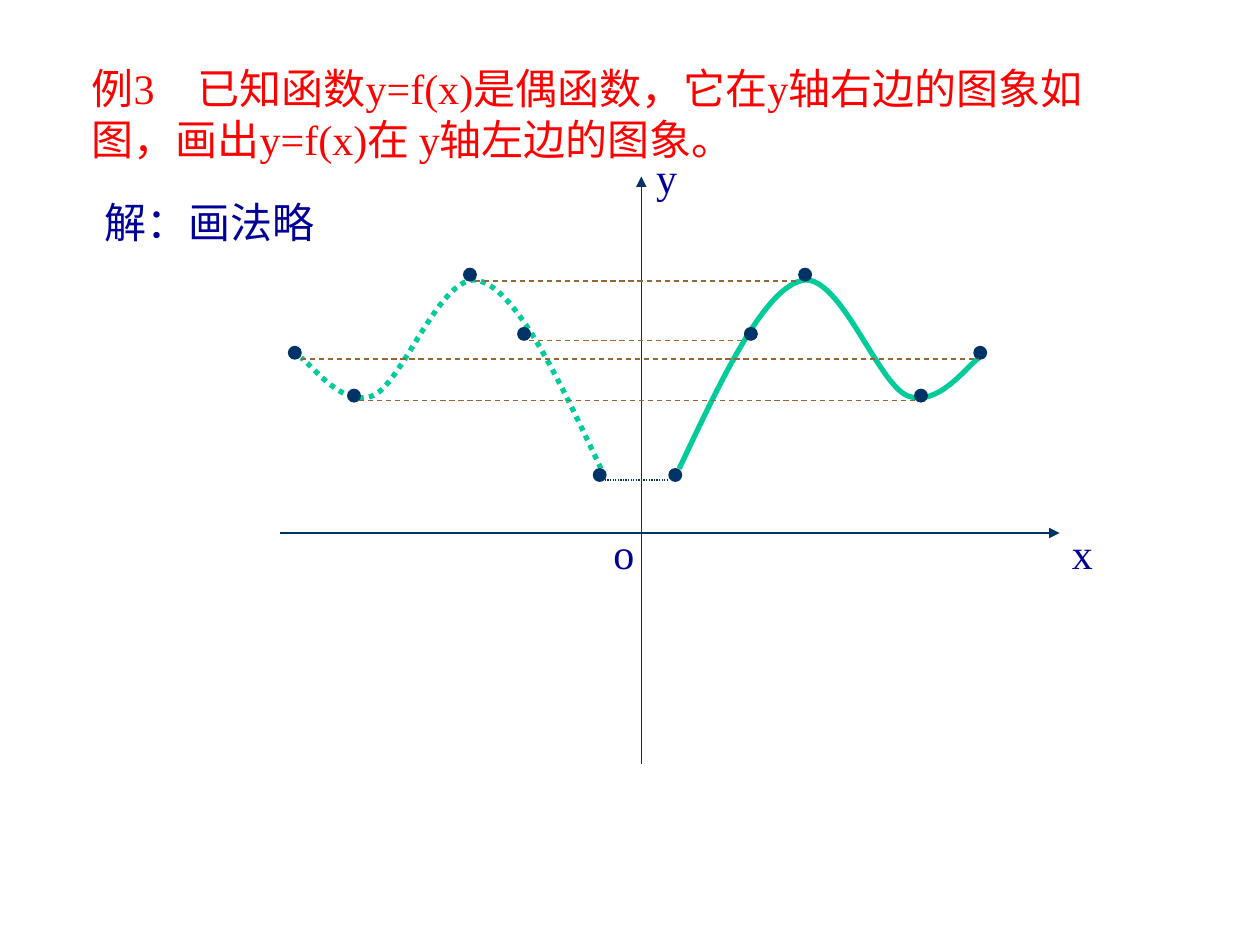
from lxml import etree
from pptx import Presentation
from pptx.dml.color import RGBColor
from pptx.enum.dml import MSO_LINE
from pptx.enum.shapes import MSO_CONNECTOR, MSO_SHAPE
from pptx.oxml.ns import qn
from pptx.util import Inches, Pt

DOTTED, DASHED = MSO_LINE.ROUND_DOT, MSO_LINE.DASH
STRAIGHT, OVAL = MSO_CONNECTOR.STRAIGHT, MSO_SHAPE.OVAL
COLORS = {
    "axis": "003366",
    "curve": "00CC99",
    "guide": "996633",
    "question": "FF0000",
    "answer": "000099",
}
DOT_SIZE = 0.1
CURVE_MIRROR = 10.16
DOT_MIRROR = 10.02


def style_line(line, color, width, dash=None):
    line.color.rgb = RGBColor.from_string(COLORS[color])
    for name, value in {"width": Pt(width), "dash_style": dash}.items():
        setattr(line, name, value)


deck = Presentation()
deck.slide_width, deck.slide_height = Inches(10), Inches(7.5)
page = deck.slides.add_slide(deck.slide_layouts[6])

curve_points = [
    (5.39, 3.72),
    (5.72, 3.02), (6.05, 2.32), (6.35, 2.23),
    (6.65, 2.13), (6.96, 3.04), (7.2, 3.14),
    (7.44, 3.24), (7.68, 2.9), (7.77, 2.84),
]
dot_points = [(5.31, 3.72), (5.91, 2.6), (6.34, 2.13), (7.26, 3.09), (7.73, 2.75)]

for mirrored, dash in [(False, None), (True, DOTTED)]:
    points = [
        (Inches(CURVE_MIRROR - x if mirrored else x), Inches(y))
        for x, y in curve_points
    ]
    builder = page.shapes.build_freeform(*points[0])
    builder.add_line_segments(points[1:], close=False)
    curve = builder.convert_to_shape()
    curve.shadow.inherit = False
    curve.fill.background()
    style_line(curve.line, "curve", 3, dash)

    outline = next(curve.element.iter(qn("a:path")))
    segments = outline.findall(qn("a:lnTo"))
    for start in range(0, len(segments), 3):
        bezier = etree.SubElement(outline, qn("a:cubicBezTo"))
        for segment in segments[start:start + 3]:
            bezier.append(segment[0])
            outline.remove(segment)

    for x, y in dot_points:
        left = DOT_MIRROR - DOT_SIZE + 0.1 - x if mirrored else x
        dot = page.shapes.add_shape(
            OVAL, Inches(left), Inches(y), Inches(DOT_SIZE), Inches(DOT_SIZE)
        )
        dot.shadow.inherit = False
        dot.fill.solid()
        dot.fill.fore_color.rgb = RGBColor.from_string(COLORS["axis"])
        style_line(dot.line, "axis", 0.75)

lines = [
    (2.22, 4.23, 8.41, 4.23, "axis", None),
    (5.09, 6.06, 5.09, 1.4, "axis", None),
    (4.8, 3.81, 5.31, 3.81, "axis", DOTTED),
    (4.2, 2.7, 5.91, 2.7, "guide", DASHED),
    (2.85, 3.18, 7.26, 3.18, "guide", DASHED),
    (3.77, 2.23, 6.34, 2.23, "guide", DASHED),
    (2.39, 2.85, 7.77, 2.85, "guide", DASHED),
]
for x1, y1, x2, y2, color, dash in lines:
    connector = page.shapes.add_connector(
        STRAIGHT, Inches(x1), Inches(y1), Inches(x2), Inches(y2)
    )
    style_line(connector.line, color, 0.75, dash)
    if dash is None:
        line_xml = connector.element.spPr.find(qn("a:ln"))
        etree.SubElement(line_xml, qn("a:tailEnd"), type="triangle")
    etree.SubElement(connector.element.spPr, qn("a:effectLst"))

texts = [
    (4.77, 4.14, 0.6, 0.5, "answer", "o"),
    (5.11, 1.15, 0.6, 0.5, "answer", "y"),
    (8.41, 4.14, 0.6, 0.5, "answer", "x"),
    (0.63, 0.45, 8.34, 0.9, "question",
     "例3\t已知函数y=f(x)是偶函数，它在y轴右边的图象如图，画出y=f(x)在 y轴左边的图象。"),
    (0.73, 1.51, 2.02, 0.5, "answer", "解：画法略"),
]
for left, top, width, height, color, text in texts:
    box = page.shapes.add_textbox(
        Inches(left), Inches(top), Inches(width), Inches(height)
    )
    box.text_frame.word_wrap = True
    para = box.text_frame.paragraphs[0]
    if "\t" in text:
        tabs = etree.SubElement(para._p.get_or_add_pPr(), qn("a:tabLst"))
        etree.SubElement(tabs, qn("a:tab"), pos=str(Inches(0.84)), algn="l")
    span = para.add_run()
    span.text = text
    for name, value in {"name": "Times New Roman", "size": Pt(24)}.items():
        setattr(span.font, name, value)
    span.font.color.rgb = RGBColor.from_string(COLORS[color])

deck.save("out.pptx")
